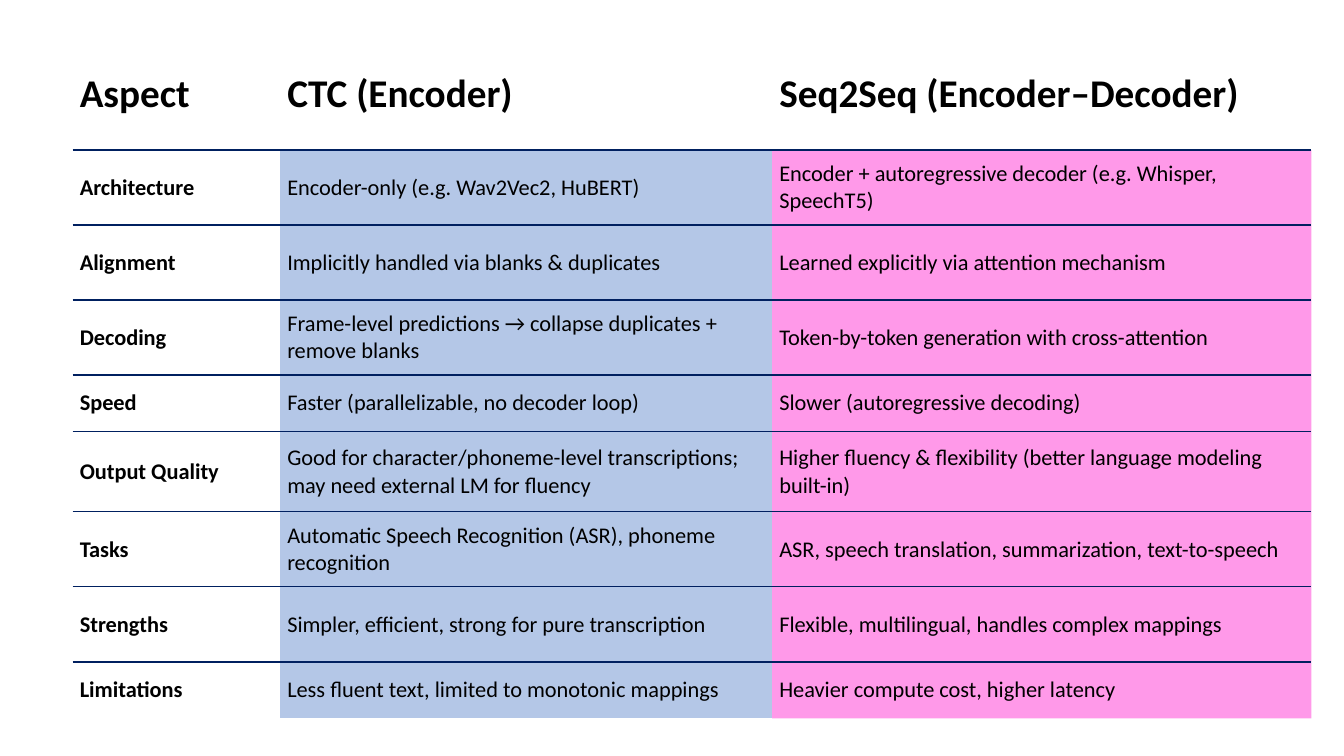
from dataclasses import dataclass

from lxml import etree
from pptx import Presentation
from pptx.dml.color import RGBColor
from pptx.enum.text import MSO_ANCHOR
from pptx.oxml.ns import qn
from pptx.util import Cm, Pt

MIDDLE = MSO_ANCHOR.MIDDLE
EDGES = ("a:lnL", "a:lnR", "a:lnT", "a:lnB")


@dataclass(frozen=True)
class Theme:
    font: str = "Calibri"
    header_size: int = 28
    body_size: int = 16
    text: str = "000000"
    rule: str = "002060"
    rule_width: int = 1
    # Fill colour and opacity in percent for each column; None leaves it clear
    column_fills: tuple = (None, ("B4C7E7", 100), ("FF00CA", 40))


THEME = Theme()
TABLE_BOX = (1.83, 0.94, 31.22, 17.16)
COLUMN_WIDTHS = (5.23, 12.4, 13.59)
HEADER_HEIGHT = 2.84
SHORT, MEDIUM, TALL = 1.42, 1.89, 2.03

HEADER = ("Aspect", "CTC (Encoder)", "Seq2Seq (Encoder–Decoder)")
COMPARISON = (
    (MEDIUM, "Architecture", "Encoder-only (e.g. Wav2Vec2, HuBERT)",
     "Encoder + autoregressive decoder (e.g. Whisper, SpeechT5)"),
    (MEDIUM, "Alignment", "Implicitly handled via blanks & duplicates",
     "Learned explicitly via attention mechanism"),
    (MEDIUM, "Decoding",
     "Frame-level predictions → collapse duplicates + remove blanks",
     "Token-by-token generation with cross-attention"),
    (SHORT, "Speed", "Faster (parallelizable, no decoder loop)",
     "Slower (autoregressive decoding)"),
    (TALL, "Output Quality",
     "Good for character/phoneme-level transcriptions; "
     "may need external LM for fluency",
     "Higher fluency & flexibility (better language modeling built-in)"),
    (MEDIUM, "Tasks", "Automatic Speech Recognition (ASR), phoneme recognition",
     "ASR, speech translation, summarization, text-to-speech"),
    (MEDIUM, "Strengths", "Simpler, efficient, strong for pure transcription",
     "Flexible, multilingual, handles complex mappings"),
    (SHORT, "Limitations", "Less fluent text, limited to monotonic mappings",
     "Heavier compute cost, higher latency"),
)


def add_solid_fill(parent, color, opacity=100):
    fill = etree.SubElement(parent, qn("a:solidFill"))
    clr = etree.SubElement(fill, qn("a:srgbClr"), val=color)
    if opacity < 100:
        etree.SubElement(clr, qn("a:alpha"), val=str(opacity * 1000))


def style_cell(cell, ruled_edges, fill):
    """Set all four borders, then the fill, in the order the schema asks."""
    cell.vertical_anchor = MIDDLE
    cell.margin_left = cell.margin_right = Cm(0.18)
    cell.margin_top = cell.margin_bottom = Cm(0.09)
    tcPr = cell._tc.get_or_add_tcPr()
    for edge in EDGES:
        ln = etree.SubElement(tcPr, qn(edge), w=str(int(Pt(THEME.rule_width))))
        if edge in ruled_edges:
            add_solid_fill(ln, THEME.rule)
        else:
            etree.SubElement(ln, qn("a:noFill"))
    if fill:
        add_solid_fill(tcPr, *fill)
    else:
        etree.SubElement(tcPr, qn("a:noFill"))


def write_cell(cell, text, size, bold):
    p = cell.text_frame.paragraphs[0]
    p.text = text
    font = p.runs[0].font
    font.name = THEME.font
    font.size = Pt(size)
    font.bold = bold
    font.color.rgb = RGBColor.from_string(THEME.text)


def add_comparison_table(s, box):
    rows = ((HEADER_HEIGHT, *HEADER), *COMPARISON)
    left, top, width, height = map(Cm, box)
    frame = s.shapes.add_table(len(rows), len(HEADER), left, top, width, height)
    table = frame.table
    table.first_row = False
    table.horz_banding = False
    for column, column_width in zip(table.columns, COLUMN_WIDTHS):
        column.width = Cm(column_width)
    last = len(rows) - 1
    for i, (row_height, *texts) in enumerate(rows):
        table.rows[i].height = Cm(row_height)
        is_header = i == 0
        ruled_edges = [] if is_header else ["a:lnT"]
        if i < last:
            ruled_edges.append("a:lnB")
        size = THEME.header_size if is_header else THEME.body_size
        for j, text in enumerate(texts):
            cell = table.cell(i, j)
            fill = None if is_header else THEME.column_fills[j]
            style_cell(cell, ruled_edges, fill)
            write_cell(cell, text, size, bold=is_header or j == 0)


def main():
    prs = Presentation()
    prs.slide_width, prs.slide_height = Cm(33.87), Cm(19.05)
    s = prs.slides.add_slide(prs.slide_layouts[6])
    add_comparison_table(s, TABLE_BOX)
    prs.save("out.pptx")


if __name__ == "__main__":
    main()
